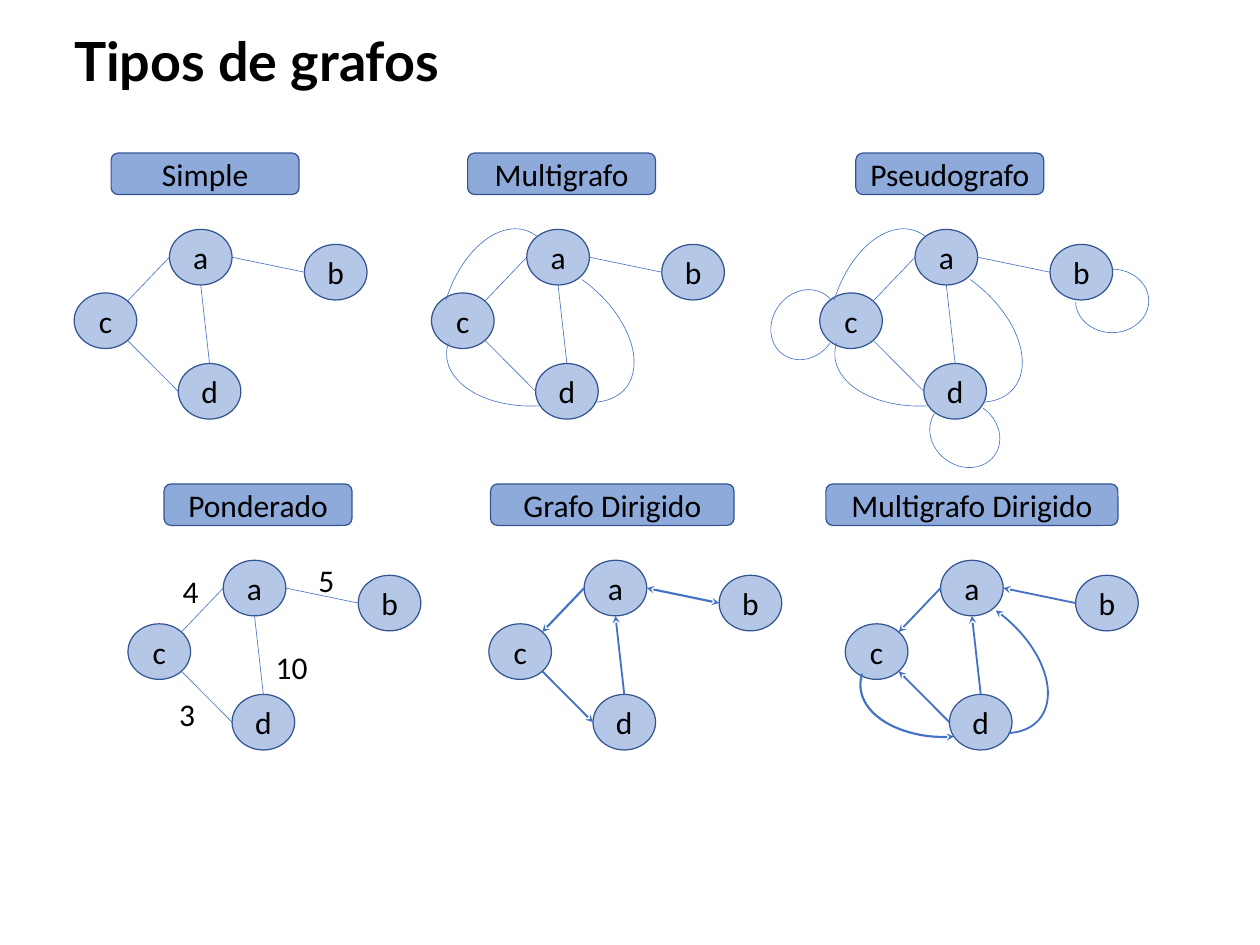
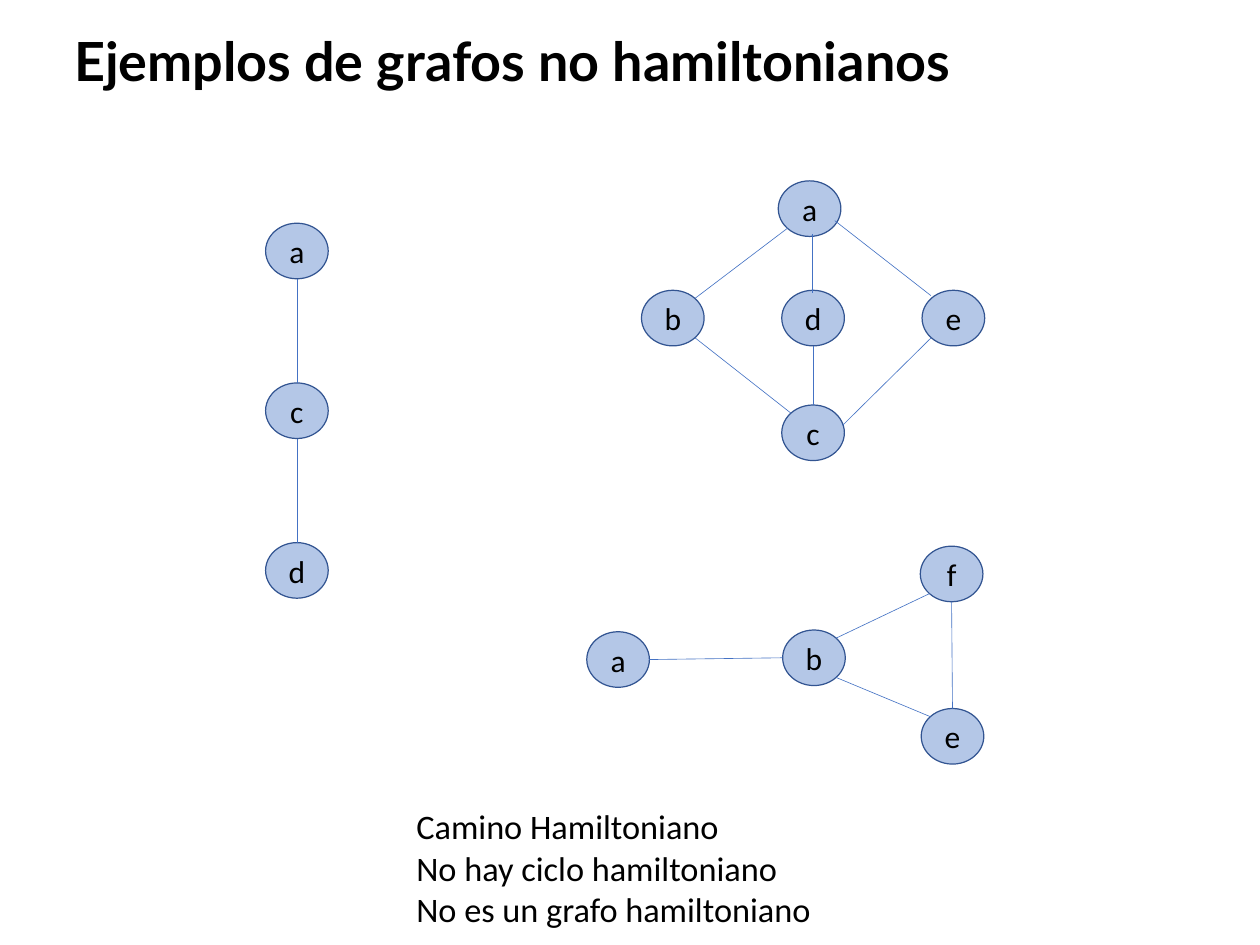
import math

from lxml import etree
from pptx import Presentation
from pptx.dml.color import RGBColor
from pptx.enum.shapes import MSO_CONNECTOR, MSO_SHAPE
from pptx.enum.text import MSO_ANCHOR, MSO_AUTO_SIZE, PP_ALIGN
from pptx.oxml.ns import qn
from pptx.util import Inches, Pt

OVAL, ARC, ROUNDED = MSO_SHAPE.OVAL, MSO_SHAPE.ARC, MSO_SHAPE.ROUNDED_RECTANGLE
STRAIGHT = MSO_CONNECTOR.STRAIGHT
LEFT_ALIGN, CENTER = PP_ALIGN.LEFT, PP_ALIGN.CENTER
TOP_ANCHOR, MIDDLE = MSO_ANCHOR.TOP, MSO_ANCHOR.MIDDLE
FIT_TEXT = MSO_AUTO_SIZE.SHAPE_TO_FIT_TEXT

COLORS = {"node": "B4C7E7", "outline": "325491", "edge": "4472C4", "text": "000000"}
COLUMNS, ROWS = 142.8, 107.1
CELL = Inches(0.1)
NODE_W, NODE_H = 7.1, 6.3

# Connection sites of an ellipse, counter-clockwise from the top
TOP, TOP_LEFT, LEFT, BOTTOM_LEFT, BOTTOM, BOTTOM_RIGHT, RIGHT, TOP_RIGHT = range(8)


def grid(cells):
    return round(cells * CELL)


def color(name):
    return RGBColor.from_string(COLORS[name])


def write(frame, text, size=25.7, font="Calibri", bold=False, align=CENTER,
          anchor=MIDDLE, spacing=None):
    """Fill a text frame, one paragraph for each line of text."""
    frame.vertical_anchor = anchor
    for index, line in enumerate(text.split("\n")):
        paragraph = frame.add_paragraph() if index else frame.paragraphs[0]
        paragraph.alignment = align
        if spacing:
            paragraph.line_spacing = spacing
        run = paragraph.add_run()
        run.text = line
        run.font.size, run.font.name, run.font.bold = Pt(size), font, bold
        run.font.color.rgb = color("text")


def stroke(item, name, width, heads=""):
    """Style a line; heads may hold 'head', 'tail' or both."""
    item.line.color.rgb = color(name)
    item.line.width = Pt(width)
    outline = item._element.spPr.find(qn("a:ln"))
    for end in ("head", "tail"):
        if end in heads:
            etree.SubElement(outline, qn(f"a:{end}End"), type="stealth")


class Deck:
    def __init__(self):
        self.presentation = Presentation()
        self.presentation.slide_width = grid(COLUMNS)
        self.presentation.slide_height = grid(ROWS)
        self.slide = None

    def new_slide(self, title):
        self.slide = self.presentation.slides.add_slide(self.presentation.slide_layouts[6])
        frame = self.text(title, 8.4, 3.9, 127.9, 7.2, wrap=True, size=44, font="Lato",
                          bold=True, align=LEFT_ALIGN, anchor=MIDDLE, spacing=0.9)
        frame.margin_left = frame.margin_top = 0

    def text(self, text, x, y, width, height, wrap=False, anchor=TOP_ANCHOR, **style):
        box = self.slide.shapes.add_textbox(grid(x), grid(y), grid(width), grid(height))
        frame = box.text_frame
        frame.word_wrap, frame.auto_size = wrap, FIT_TEXT
        write(frame, text, anchor=anchor, **style)
        return frame

    def shape(self, kind, x, y, width, height):
        shape = self.slide.shapes.add_shape(kind, grid(x), grid(y), grid(width), grid(height))
        shape.shadow.inherit = False
        return shape

    def node(self, letter, x, y):
        node = self.shape(OVAL, x, y, NODE_W, NODE_H)
        node.fill.solid()
        node.fill.fore_color.rgb = color("node")
        stroke(node, "outline", 1)
        write(node.text_frame, letter)
        return node

    def label(self, text, x, y, width):
        label = self.shape(ROUNDED, x, y, width, 4.7)
        label.fill.solid()
        label.fill.fore_color.rgb = color("edge")
        tint = label._element.spPr.find(qn("a:solidFill"))[0]
        etree.SubElement(tint, qn("a:alpha"), val="60000")
        stroke(label, "outline", 1)
        write(label.text_frame, text)

    def arc(self, x, y, width, height, rotation, start, end, line_width=0.5, heads=""):
        arc = self.shape(ARC, x, y, width, height)
        arc.rotation = rotation
        arc.adjustments[0], arc.adjustments[1] = start, end
        arc.fill.background()
        stroke(arc, "edge", line_width, heads)

    def edge(self, start, end, line_width=0.5, heads=""):
        """Join two ends, each a point and, if glued, a node and its site."""
        (start_point, start_glue), (end_point, end_glue) = start, end
        line = self.slide.shapes.add_connector(STRAIGHT, *map(grid, start_point + end_point))
        stroke(line, "edge", line_width, heads)
        etree.SubElement(line._element.spPr, qn("a:effectLst"))
        joints = line._element.find(".//" + qn("p:cNvCxnSpPr"))
        for tag, glue in (("a:stCxn", start_glue), ("a:endCxn", end_glue)):
            if glue:
                node, site = glue
                etree.SubElement(joints, qn(tag), id=str(node.shape_id), idx=str(site))

    def graph(self, origin, places, edges):
        """Draw nodes and edges; an edge end is (letter, site) or a point from origin."""
        left, top = origin
        nodes = {letter: self.node(letter, left + x, top + y)
                 for letter, (x, y) in places.items()}

        def locate(end):
            first, second = end
            if first not in nodes:
                return (left + first, top + second), None
            x, y = places[first]
            angle = math.radians(45 * second)
            point = (left + x + NODE_W / 2 * (1 - math.sin(angle)),
                     top + y + NODE_H / 2 * (1 - math.cos(angle)))
            return point, (nodes[first], second)

        for start, end, *style in edges:
            self.edge(locate(start), locate(end), *style)


PLACES = {"a": (10.8, 0), "b": (26.1, 1.7), "c": (0, 7.2), "d": (11.8, 15.2)}
EDGES = [(("a", RIGHT), ("b", LEFT)), (("c", BOTTOM_RIGHT), ("d", LEFT)),
         (("c", TOP_RIGHT), ("a", LEFT)), (("a", BOTTOM), ("d", TOP))]
PLAIN = [()] * 4
ARROWS = [(1.75, "head tail"), (1.5, "tail"), (1.75, "head"), (1.5, "head")]
TO_FIRST = [(1.5, "head")] * 4

# Offset from the graph's origin, size, rotation, start and end
ARC_AD = (3.9, 5.1, 20.5, 12.6, 40.4, 153.89, 12.98)
ARC_AC = (-2.6, 3.6, 20.5, 12.6, 287.1, 162.21, 5.06)
ARC_CD = (1.7, 7.4, 20.5, 12.6, 176.4, 162.21, 5.06)
PARALLEL = [ARC_AD, ARC_AC, ARC_CD]
LOOPS = [(29, 4.5, 8.3, 7.2, 0, 162, 106.96), (12.3, 19.6, 8.3, 7.2, 35.5, 162, 106.96),
         (-5.9, 7.2, 8.3, 7.2, 125.9, 162, 115.26)]
DIRECTED_ARCS = [ARC_AD + (1.5, "head"), ARC_CD + (1.75, "head")]

# Name, origin, label offset and width, edge styles, arcs
TYPES = [
    ("Simple", (8.4, 26), 4.2, 21.3, PLAIN, []),
    ("Multigrafo", (48.9, 26), 4.1, 21.3, PLAIN, PARALLEL),
    ("Pseudografo", (92.9, 26), 4.1, 21.3, PLAIN, PARALLEL + LOOPS),
    ("Ponderado", (14.5, 63.5), 4.1, 21.3, PLAIN, []),
    ("Grafo Dirigido", (55.4, 63.5), 0.2, 27.6, ARROWS, []),
    ("Multigrafo Dirigido", (95.8, 63.5), -2.2, 33.1, TO_FIRST, DIRECTED_ARCS),
]
WEIGHTS = [("4", 19.7, 64.3, 3.8), ("10", 30.2, 73, 5.7),
           ("5", 35.1, 63.1, 3.8), ("3", 19.3, 78.3, 3.8)]

NOT_HAMILTONIAN = [
    ((30.1, 25.3), {"a": (0, 0), "c": (0, 18.1), "d": (0, 36.2)},
     [(("c", TOP), ("a", BOTTOM)), (("d", TOP), ("c", BOTTOM))]),
    ((72.7, 20.5),
     {"a": (15.5, 0), "b": (0, 12.4), "d": (15.9, 12.4), "e": (31.8, 12.4), "c": (15.9, 25.4)},
     [(("a", BOTTOM_LEFT), ("b", TOP_RIGHT)), (("b", BOTTOM_RIGHT), ("c", TOP_LEFT)),
      (("e", BOTTOM_LEFT), (22.8, 27.7)), ((21.9, 4.5), (32.8, 13)),
      (("d", BOTTOM), ("c", TOP)), ((19.4, 6), (19.4, 12.7))]),
    ((66.5, 61.9), {"a": (0, 9.7), "b": (22.2, 9.5), "f": (37.8, 0), "e": (37.9, 18.4)},
     [(("f", BOTTOM_LEFT), ("b", TOP_RIGHT)), (("b", BOTTOM_RIGHT), ("e", TOP_LEFT)),
      (("e", TOP), ("f", BOTTOM)), (("b", LEFT), ("a", RIGHT))]),
]


def main():
    deck = Deck()

    deck.new_slide("Tipos de grafos")
    for name, origin, label_shift, label_width, styles, arcs in TYPES:
        left, top = origin
        deck.label(name, left + label_shift, top - 8.65, label_width)
        deck.graph(origin, PLACES, [ends + style for ends, style in zip(EDGES, styles)])
        for x, y, *form in arcs:
            deck.arc(left + x, top + y, *form)
    for weight, x, y, width in WEIGHTS:
        deck.text(weight, x, y, width, 5.3)

    deck.new_slide("Ejemplos de grafos no hamiltonianos")
    for origin, places, edges in NOT_HAMILTONIAN:
        deck.graph(origin, places, edges)
    deck.text("Camino Hamiltoniano\nNo hay ciclo hamiltoniano\nNo es un grafo hamiltoniano",
              46.2, 90.8, 47.2, 15.1, size=28, align=LEFT_ALIGN)

    deck.presentation.save("out.pptx")


if __name__ == "__main__":
    main()
